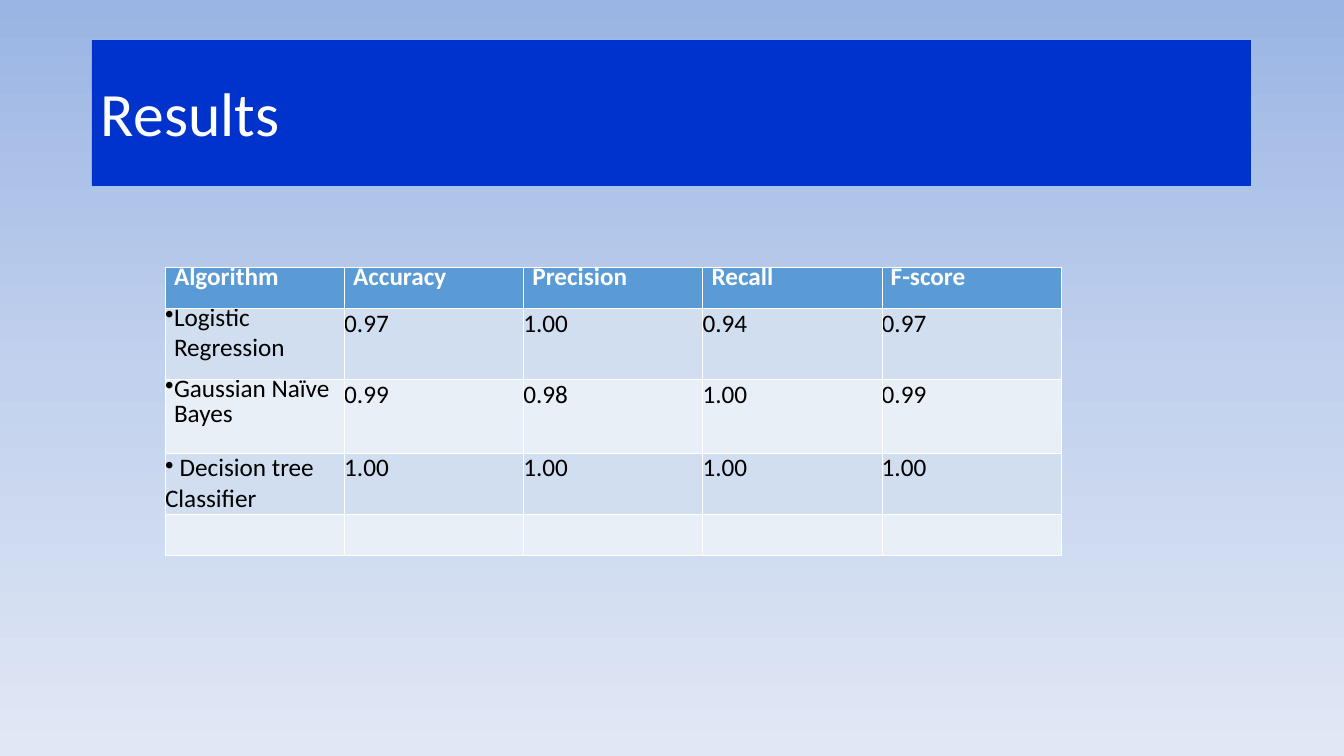
from copy import deepcopy

from lxml.etree import SubElement
from pptx import Presentation
from pptx.dml.color import RGBColor
from pptx.enum.shapes import MSO_SHAPE
from pptx.enum.text import MSO_ANCHOR, PP_ALIGN
from pptx.oxml import parse_xml
from pptx.oxml.ns import nsdecls, qn
from pptx.util import Pt

EMU_PER_PIXEL = 914400 / 100.8
FONT = "Calibri"
WHITE = RGBColor(0xFF, 0xFF, 0xFF)
BLACK = RGBColor(0, 0, 0)
TITLE_BLUE = RGBColor(0x00, 0x33, 0xCC)
HEADER_BLUE = RGBColor(0x5B, 0x9B, 0xD5)
BANDS = (RGBColor(0xD0, 0xDE, 0xEF), RGBColor(0xE9, 0xEF, 0xF7))
SKY = (RGBColor(0x9A, 0xB5, 0xE4), RGBColor(0xC2, 0xD1, 0xED), RGBColor(0xE1, 0xE8, 0xF5))
INDENT = 9
NO_MARGINS = {"margin_left": 0, "margin_right": 0, "margin_top": 0, "margin_bottom": 0}
FIXED_LINE = {"line_spacing": Pt(18), "space_before": Pt(6.8)}

HEADERS = ("Algorithm", "Accuracy", "Precision", "Recall", "F-score")
RESULTS = (
    ("Logistic\nRegression", "0.97", "1.00", "0.94", "0.97"),
    ("Gaussian Naïve Bayes", "0.99", "0.98", "1.00", "0.99"),
    (" Decision tree Classifier", "1.00", "1.00", "1.00", "1.00"),
    ("",) * len(HEADERS),
)
ROW_HEIGHTS = (41, 71, 74, 61, 41)


def px(pixels):
    """Turn pixels into EMU."""
    return round(pixels * EMU_PER_PIXEL)


def set_all(target, values):
    """Set every attribute of the dict on the target."""
    for name, value in values.items():
        setattr(target, name, value)


def style_paragraph(paragraph, size, color, bold=False, layout=None, indent=0, bullet=False):
    """Format a paragraph with its font, spacing, indent and optional bullet."""
    set_all(paragraph.font, {"name": FONT, "size": Pt(size), "bold": bold})
    paragraph.font.color.rgb = color
    set_all(paragraph, {"alignment": PP_ALIGN.LEFT, **(layout or {})})
    properties = paragraph._p.get_or_add_pPr()
    properties.set("marL", str(px(indent)))
    properties.set("indent", str(px(-indent if bullet else 0)))
    if bullet:
        mark = parse_xml(f'<a:buChar {nsdecls("a")} char="•"/>')
        properties.insert_element_before(mark, "a:tabLst", "a:defRPr", "a:extLst")


def add_background(slide):
    """Fill the slide with a vertical three-colour gradient."""
    fill = slide.background.fill
    fill.gradient()
    fill.gradient_angle = 270
    stops = slide.element.xpath(".//a:gsLst")[0]
    stops.insert(1, deepcopy(stops[0]))
    for stop, color, position in zip(fill.gradient_stops, SKY, (0, 0.5, 1)):
        stop.color.rgb = color
        stop.position = position


def add_title(slide, left, top, width, height):
    """Draw the title bar in the given box."""
    bar = slide.shapes.add_shape(MSO_SHAPE.RECTANGLE, px(left), px(top), px(width), px(height))
    bar.shadow.inherit = False
    bar.fill.solid()
    bar.fill.fore_color.rgb = TITLE_BLUE
    bar.line.fill.background()
    frame = bar.text_frame
    set_all(frame, {**NO_MARGINS, "margin_top": px(47), "word_wrap": True,
                    "vertical_anchor": MSO_ANCHOR.TOP})
    frame.text = "Results"
    style_paragraph(frame.paragraphs[0], 44, WHITE, layout={"line_spacing": Pt(44)}, indent=INDENT)


def style_cell(cell, color):
    """Give a cell its fill, thin white borders and no margins."""
    set_all(cell, {**NO_MARGINS, "vertical_anchor": MSO_ANCHOR.TOP})
    properties = cell._tc.get_or_add_tcPr()
    for side in ("a:lnL", "a:lnR", "a:lnT", "a:lnB"):
        border = SubElement(properties, qn(side), w=str(Pt(0.25)))
        solid = SubElement(border, qn("a:solidFill"))
        SubElement(solid, qn("a:srgbClr"), val=str(WHITE))
    cell.fill.solid()
    cell.fill.fore_color.rgb = color


def add_results(slide, left, top, width, row_heights):
    """Draw the table of scores from the given corner."""
    rows = (HEADERS, *RESULTS)
    frame = slide.shapes.add_table(len(rows), len(HEADERS), px(left), px(top),
                                   px(width), px(sum(row_heights)))
    table = frame.table
    set_all(table, {"first_row": False, "horz_banding": False})
    for row_index, values in enumerate(rows):
        table.rows[row_index].height = px(row_heights[row_index])
        is_header = row_index == 0
        for column_index, value in enumerate(values):
            cell = table.cell(row_index, column_index)
            style_cell(cell, HEADER_BLUE if is_header else BANDS[(row_index - 1) % 2])
            cell.text = value
            is_name = column_index == 0 and not is_header and value != ""
            hanging = is_header or is_name and not value.startswith(" ")
            for line, paragraph in enumerate(cell.text_frame.paragraphs):
                layout = dict(FIXED_LINE) if hanging else {}
                if line:
                    layout["space_before"] = Pt(3.8)
                style_paragraph(paragraph, 18, WHITE if is_header else BLACK, is_header, layout,
                                INDENT if hanging else 0, is_name and line == 0)


def main():
    """Build and save the slide."""
    presentation = Presentation()
    set_all(presentation, {"slide_width": px(1344), "slide_height": px(756)})
    slide = presentation.slides.add_slide(presentation.slide_layouts[6])
    add_background(slide)
    add_title(slide, 92, 40, 1159, 146)
    add_results(slide, 165, 267, 896, ROW_HEIGHTS)
    presentation.save("out.pptx")


main()
